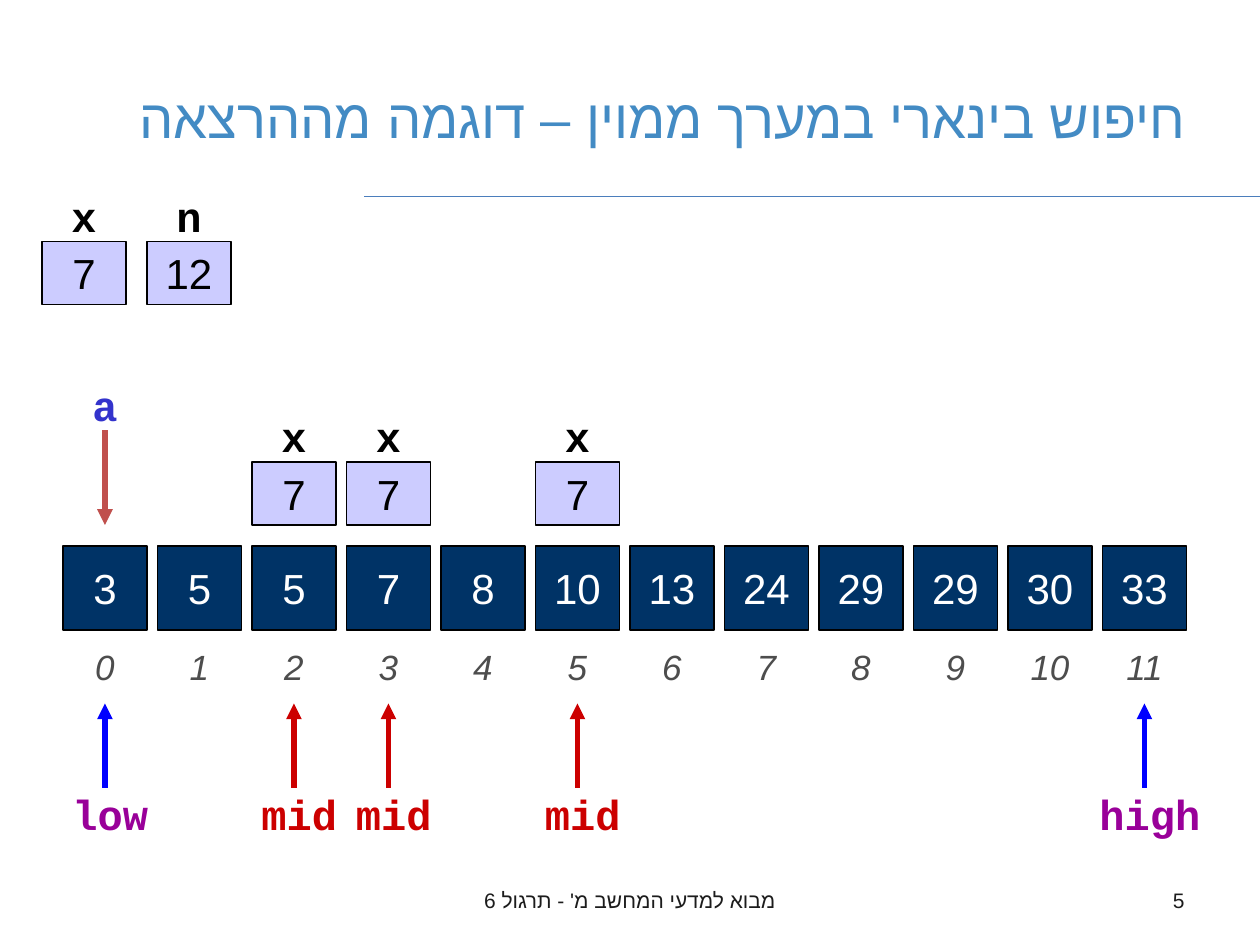
"""Build a slide that traces a binary search in a sorted array."""
from lxml.etree import SubElement
from pptx import Presentation
from pptx.dml.color import RGBColor
from pptx.enum.shapes import MSO_CONNECTOR, MSO_SHAPE
from pptx.enum.text import MSO_ANCHOR, PP_ALIGN
from pptx.oxml.ns import qn
from pptx.util import Emu, Pt

TITLE = "חיפוש בינארי במערך ממוין – דוגמה מההרצאה"
FOOTER = "מבוא למדעי המחשב מ' - תרגול 6"
PAGE = "5"
VALUES = [3, 5, 5, 7, 8, 10, 13, 24, 29, 29, 30, 33]
VARIABLES = [("x", 7, 32), ("n", 12, 112)]
POINTERS = [
    ("low", 0, "blue", "purple"),
    ("high", 11, "blue", "purple"),
    ("mid", 5, "red", "red"),
    ("mid", 2, "red", "red"),
    ("mid", 3, "red", "red"),
]
PROBES = [5, 2, 3]
COLORS = {
    "title": "438BC4", "rule": "4B7EBC", "footer": "1C1C1C",
    "navy": "003366", "lilac": "CCCCFF", "white": "FFFFFF", "black": "000000",
    "grey": "4D4D4D", "brick": "C0504D", "indigo": "3333CC",
    "blue": "0000FF", "purple": "990099", "red": "CC0000",
}
LEFT, PITCH, CELL = 48, 72, 64
CELL_TOP, INDEX_TOP, LABEL_H, BOX_H = 416, 488, 40, 48
POINTER_TOP, POINTER_TIP, POINTER_W = 600, 536, 80


def px(n):
    return Emu(n * 9525)


def rgb(name):
    return RGBColor.from_string(COLORS[name])


def column(i):
    return LEFT + i * PITCH


def write(sp, text, size, color, font="Arial", bold=False, italic=False,
          align=PP_ALIGN.CENTER, wrap=False, rtl=False):
    tf = sp.text_frame
    tf.word_wrap = wrap
    tf.vertical_anchor = MSO_ANCHOR.MIDDLE
    if not wrap:
        tf.margin_left = tf.margin_right = 0
    p = tf.paragraphs[0]
    p.text = str(text)
    p.alignment = align
    r = p.runs[0]
    r.font.name, r.font.size = font, Pt(size)
    r.font.bold, r.font.italic = bold, italic
    r.font.color.rgb = rgb(color)
    if rtl:
        p._p.get_or_add_pPr().set("rtl", "1")
        SubElement(r._r.get_or_add_rPr(), qn("a:cs")).set("typeface", font)


def add_text(shapes, x, y, w, h, *args, **style):
    sp = shapes.add_textbox(px(x), px(y), px(w), px(h))
    write(sp, *args, **style)
    return sp


def add_code(shapes, x, y, w, text, color):
    return add_text(shapes, x, y, w, LABEL_H, text, 24, color,
                    font="Courier New", bold=True)


def add_box(shapes, x, y, h, value, fill, color):
    sp = shapes.add_shape(MSO_SHAPE.RECTANGLE, px(x), px(y), px(CELL), px(h))
    sp.shadow.inherit = False
    sp.fill.solid()
    sp.fill.fore_color.rgb = rgb(fill)
    sp.line.color.rgb = rgb("black")
    sp.line.width = Pt(0.75)
    write(sp, value, 24, color)


def add_variable(shapes, x, y, name, value):
    add_box(shapes, x, y + LABEL_H, BOX_H, value, "lilac", "black")
    add_code(shapes, x, y, CELL, name, "black")


def add_line(shapes, x1, y1, x2, y2, color, width, arrow=True):
    ln = shapes.add_connector(MSO_CONNECTOR.STRAIGHT, px(x1), px(y1), px(x2), px(y2))
    ln.line.color.rgb = rgb(color)
    ln.line.width = Pt(width)
    if arrow:
        SubElement(ln.line._get_or_add_ln(), qn("a:tailEnd")).set("type", "triangle")
    SubElement(ln._element.spPr, qn("a:effectLst"))
    return ln


def main():
    prs = Presentation()
    prs.slide_width, prs.slide_height = px(960), px(720)
    s = prs.slides.add_slide(prs.slide_layouts[6])
    shapes = s.shapes

    add_line(shapes, 960, 150, 277, 150, "rule", 0.75, arrow=False)
    add_text(shapes, 328, 667, 304, 38, FOOTER, 12, "footer", wrap=True, rtl=True)
    add_text(shapes, 688, 667, 224, 38, PAGE, 12, "footer",
             align=PP_ALIGN.RIGHT, wrap=True, rtl=True)
    add_text(shapes, 48, 29, 864, 120, TITLE, 31, "title",
             align=PP_ALIGN.RIGHT, wrap=True, rtl=True)

    for i, value in enumerate(VALUES):
        add_box(shapes, column(i), CELL_TOP, CELL, value, "navy", "white")
        add_text(shapes, column(i), INDEX_TOP, CELL, LABEL_H, i, 20, "grey", italic=True)

    group = shapes.add_group_shape().shapes
    label = add_code(group, LEFT, 288, CELL, "a", "indigo")
    center = LEFT + CELL // 2
    arrow = add_line(group, center, 328, center, 400, "brick", 3)
    arrow.begin_connect(label, 2)

    for name, value, x in VARIABLES:
        add_variable(shapes, x, 144, name, value)

    for name, i, line_color, text_color in POINTERS:
        group = shapes.add_group_shape().shapes
        center = column(i) + CELL // 2
        label_x = column(i) + (PITCH - POINTER_W) // 2
        add_line(group, center, POINTER_TOP, center, POINTER_TIP, line_color, 3)
        add_code(group, label_x, POINTER_TOP, POINTER_W, name, text_color)

    for i in PROBES:
        add_variable(shapes.add_group_shape().shapes, column(i), 312, "x", 7)

    prs.save("out.pptx")


if __name__ == "__main__":
    main()
